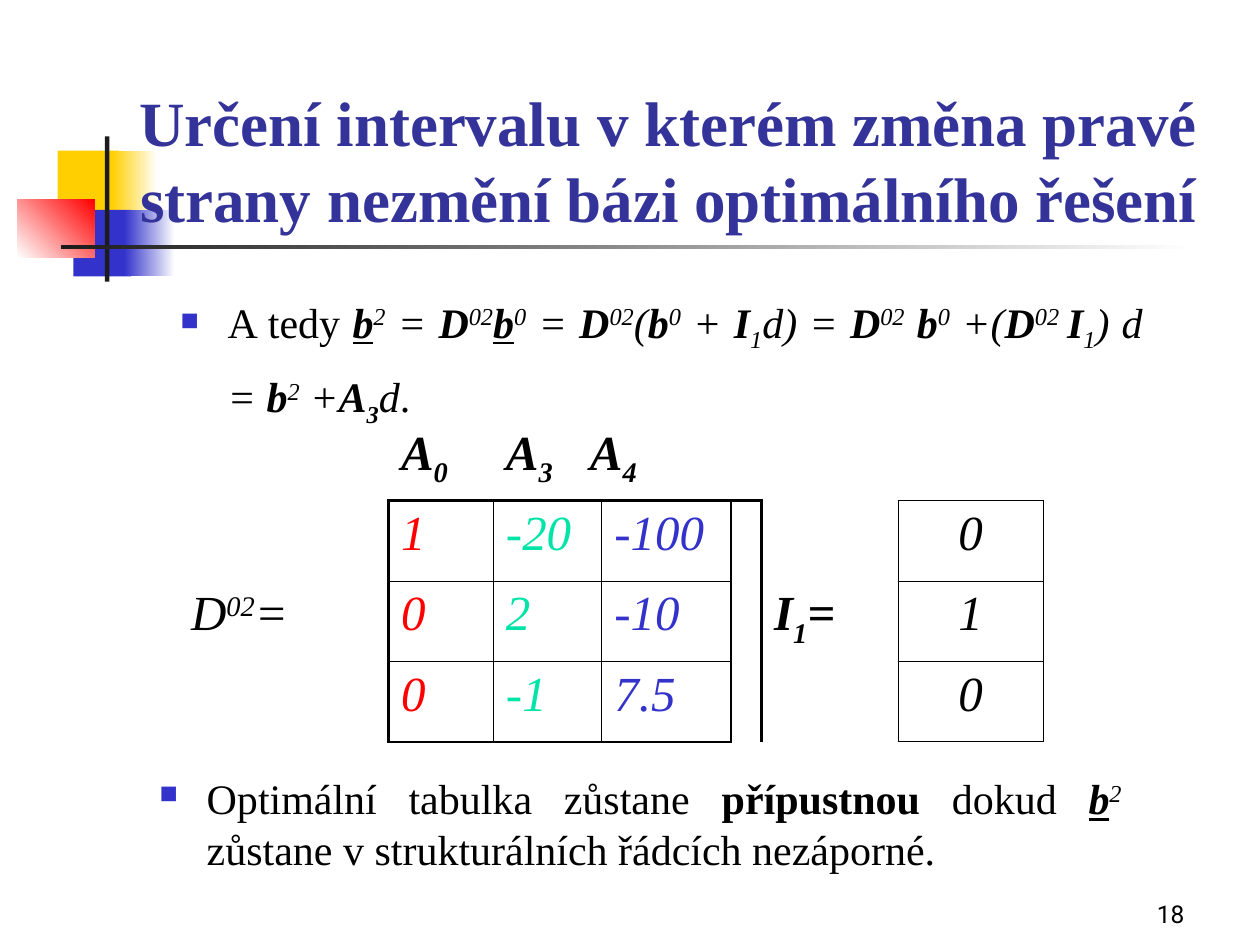
from lxml import etree
from pptx import Presentation
from pptx.dml.color import RGBColor
from pptx.enum import shapes, text
from pptx.oxml import ns
from pptx.util import Pt

SERIF = "Times New Roman"
BLACK, WHITE, BLUE, RED = "000000", "FFFFFF", "3333CC", "FF0000"
YELLOW, GREEN, DARK, NAVY = "FFCF01", "00E4A8", "1C1C1C", "333399"
THICK, THIN = 1.5, 0.5
NO_STYLE = "{2D5ABB26-0587-4C30-8999-92F81FD0307C}"

# Span marks: b bold, i italic, u underlined, ^ superscript, _ subscript
EQUATION = [
    ("A tedy ", ""), ("b", "biu"), ("2", "i^"), (" = ", "i"), ("D", "bi"), ("02", "i^"),
    ("b", "biu"), ("0", "i^"), (" = ", "i"), ("D", "bi"), ("02", "i^"), ("(", "i"),
    ("b", "bi"), ("0", "i^"), (" + ", "i"), ("I", "bi"), ("1", "i_"), ("d) = ", "i"),
    ("D", "bi"), ("02", "i^"), (" b", "bi"), ("0", "i^"), (" +(", "i"), ("D", "bi"),
    ("02 ", "i^"), ("I", "bi"), ("1", "i_"), (") d = ", "i"), ("b", "bi"), ("2", "i^"),
    (" +", "i"), ("A", "bi"), ("3", "bi_"), ("d", "i"), (".", ""),
]
CONCLUSION = [
    ("Optimální tabulka zůstane ", ""), ("přípustnou", "b"), (" dokud ", ""),
    ("b", "biu"), ("2 ", "i^"), ("zůstane v strukturálních řádcích nezáporné.", ""),
]
MATRIX = [["1", "-20", "-100"], ["0", "2", "-10"], ["0", "-1", "7.5"]]
VECTOR = ["0", "1", "0"]


def rgb(color):
    return RGBColor.from_string(color)


def add_element(parent, tag, **attributes):
    return etree.SubElement(parent, ns.qn(tag), attributes)


def add_spans(para, spans, size, color=BLACK, font=SERIF):
    for words, marks in spans:
        span = para.add_run()
        span.text = words
        span.font.name, span.font.size = font, Pt(size)
        span.font.color.rgb = rgb(color)
        span.font.bold, span.font.italic = "b" in marks, "i" in marks
        span.font.underline = "u" in marks
        if "^" in marks or "_" in marks:
            offset = "30000" if "^" in marks else "-25000"
            span.font._element.set("baseline", offset)


def add_box(page, left, top, width, height):
    box = page.shapes.add_textbox(Pt(left), Pt(top), Pt(width), Pt(height))
    box.text_frame.word_wrap = True
    return box.text_frame


def add_block(page, left, top, width, height, start, end=None, angle=0):
    """Add a borderless rectangle, graded when an end colour is given."""
    block = page.shapes.add_shape(
        shapes.MSO_SHAPE.RECTANGLE, Pt(left), Pt(top), Pt(width), Pt(height))
    block.shadow.inherit = False
    block.line.fill.background()
    if end is None:
        block.fill.solid()
        block.fill.fore_color.rgb = rgb(start)
        return
    block.fill.gradient()
    block.fill.gradient_angle = angle
    for stop, color in zip(block.fill.gradient_stops, (start, end)):
        stop.color.rgb = rgb(color)


def add_ornament(page, left, top):
    """Add the coloured squares and the crossing rules beside the title."""
    for x, y, solid, fade, color in ((23, 8, 35, 26, YELLOW), (32, 42, 33, 29, BLUE)):
        add_block(page, left + x, top + y, solid, 38, color)
        add_block(page, left + x + solid - 4, top + y, fade, 38, color, WHITE)
    add_block(page, left, top + 36, 44, 33, WHITE, RED, 45)
    add_block(page, left + 50, top, 2.5, 83, DARK)
    add_block(page, left + 25, top + 62, 648, 2.5, DARK, WHITE)


def add_title(page, left, top, width, height):
    title = page.shapes.title
    title.left, title.top = Pt(left), Pt(top)
    title.width, title.height = Pt(width), Pt(height)
    frame = title.text_frame
    frame.auto_size = text.MSO_AUTO_SIZE.NONE
    frame.vertical_anchor = text.MSO_ANCHOR.BOTTOM
    para = frame.paragraphs[0]
    para.alignment = text.PP_ALIGN.CENTER
    words = "Určení intervalu v kterém změna pravé strany nezmění bázi optimálního řešení"
    add_spans(para, [(words, "b")], 36, NAVY)
    page.shapes._spTree.append(title._element)  # in front of the ornament


def add_bullet(page, left, top, width, height, spans, spacing=1.0):
    para = add_box(page, left, top, width, height).paragraphs[0]
    props = para._p.get_or_add_pPr()
    props.set("marL", str(Pt(27)))
    props.set("indent", str(-Pt(27)))
    add_element(add_element(props, "a:buClr"), "a:srgbClr", val=BLUE)
    add_element(props, "a:buSzPct", val="60000")
    add_element(props, "a:buChar", char="■")
    para.alignment = text.PP_ALIGN.JUSTIFY
    para.line_spacing = spacing
    add_spans(para, spans, 24)


def set_borders(cell, **widths):
    props = cell._tc.get_or_add_tcPr()
    sides = [side for side in "LRTB" if side in widths]
    for place, side in enumerate(sides):
        line = etree.Element(ns.qn("a:ln" + side), w=str(Pt(widths[side])))
        add_element(add_element(line, "a:solidFill"), "a:srgbClr", val=BLACK)
        props.insert(place, line)


def add_matrices(page, left, top):
    columns, row_height = [78, 42, 60, 48, 14, 34, 40, 17, 78, 83], 46
    frame = page.shapes.add_table(
        4, len(columns), Pt(left), Pt(top), Pt(sum(columns)), Pt(4 * row_height))
    table = frame.table
    table.first_row = table.horz_banding = False
    table._tbl.tblPr.find(ns.qn("a:tableStyleId")).text = NO_STYLE
    for column, width in zip(table.columns, columns):
        column.width = Pt(width)
    for row in table.rows:
        row.height = Pt(row_height)
        for cell in row.cells:
            cell.fill.background()

    def write(row, column, spans, color=BLACK):
        para = table.cell(row, column).text_frame.paragraphs[0]
        add_spans(para, spans, 28, color)
        return para

    def merge(row, first, last):
        if first < last:
            table.cell(row, first).merge(table.cell(row, last))

    for column, index in zip((2, 3, 4), "034"):
        write(0, column, [("A", "bi"), (index, "bi_")])
    for column in (4, 6):
        merge(0, column, column + 1)
    for column in range(2, 8):
        set_borders(table.cell(0, column), B=THICK)
    set_borders(table.cell(0, 9), B=THIN)

    spans = [(2, 2, RED), (3, 4, GREEN), (5, 6, BLUE)]
    for row, values in enumerate(MATRIX, 1):
        for value, (first, last, color) in zip(values, spans):
            merge(row, first, last)
            write(row, first, [(value, "i")], color)
            set_borders(table.cell(row, first),
                        L=THICK if first == 2 else THIN, R=THICK if last == 6 else THIN,
                        T=THICK if row == 1 else THIN, B=THICK if row == 3 else THIN)
        set_borders(table.cell(row, 1), R=THICK)
        set_borders(table.cell(row, 7), L=THICK)
        set_borders(table.cell(row, 8), R=THIN)
        set_borders(table.cell(row, 9), L=THIN, R=THIN, T=THIN, B=THIN)
        para = write(row, 9, [(VECTOR[row - 1], "i")])
        para.alignment = text.PP_ALIGN.CENTER
    write(2, 0, [("D", "i"), ("02", "i^"), ("=", "i")])
    write(2, 8, [("I", "bi"), ("1", "bi_"), ("=", "bi")])


def add_page_number(page, left, top, width, height):
    frame = add_box(page, left, top, width, height)
    frame.vertical_anchor = text.MSO_ANCHOR.BOTTOM
    frame.paragraphs[0].alignment = text.PP_ALIGN.RIGHT
    add_spans(frame.paragraphs[0], [("18", "")], 14, font="Roboto")


def main():
    deck = Presentation()
    deck.slide_width, deck.slide_height = Pt(720), Pt(540)
    page = deck.slides.add_slide(deck.slide_layouts.get_by_name("Title Only"))
    add_ornament(page, 10, 78)
    add_title(page, 60, 48, 644, 90)
    add_bullet(page, 96, 156, 564, 96, EQUATION, 1.3)
    add_matrices(page, 102, 240)
    add_bullet(page, 84, 438, 564, 72, CONCLUSION)
    add_page_number(page, 534, 498, 150, 36)
    deck.save("out.pptx")


if __name__ == "__main__":
    main()
